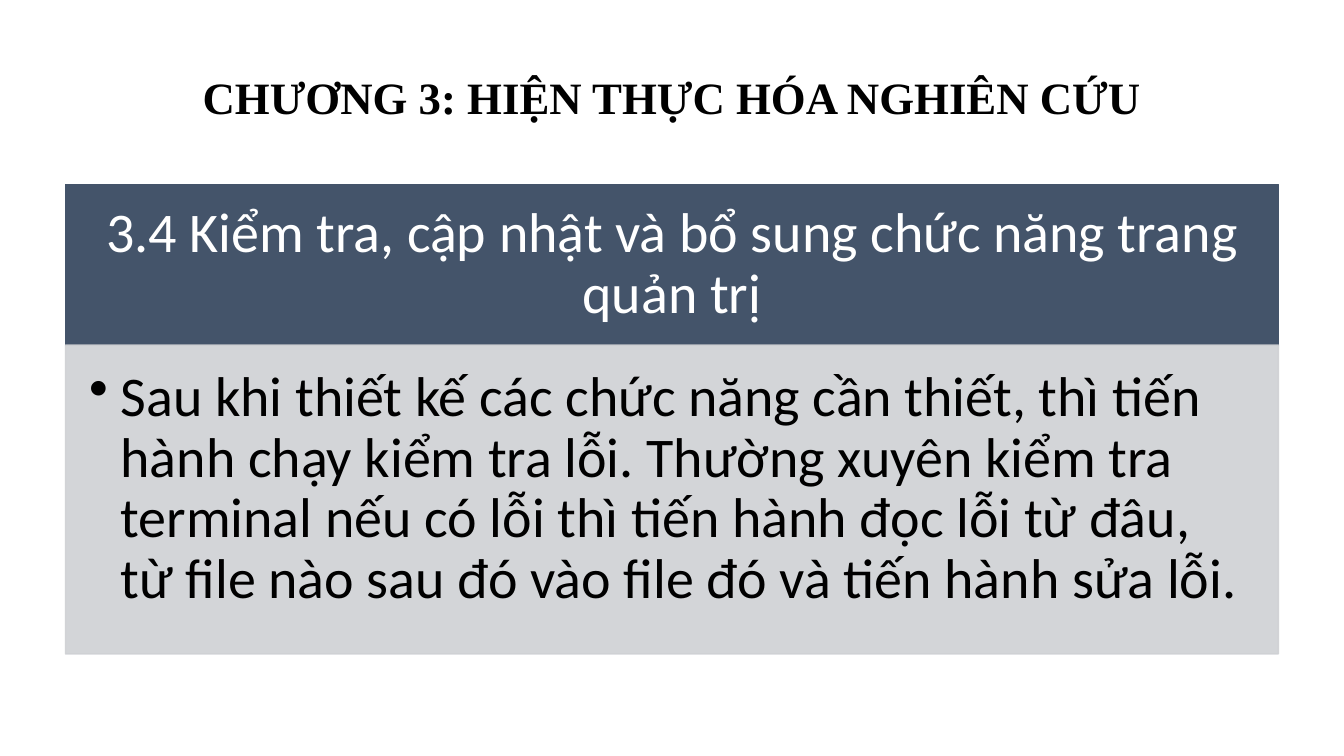
from lxml.etree import SubElement
from pptx import Presentation
from pptx.dml.color import RGBColor
from pptx.enum.shapes import MSO_SHAPE as Preset
from pptx.enum.text import MSO_ANCHOR as Anchor, PP_ALIGN as Align
from pptx.oxml.ns import qn
from pptx.util import Pt

TITLE = "CHƯƠNG 3: HIỆN THỰC HÓA NGHIÊN CỨU"
HEADING = "3.4 Kiểm tra, cập nhật và bổ sung chức năng trang quản trị"
BODY = (
    "Sau khi thiết kế các chức năng cần thiết, thì tiến hành chạy kiểm tra lỗi. "
    "Thường xuyên kiểm tra terminal nếu có lỗi thì tiến hành đọc lỗi từ đâu, "
    "từ file nào sau đó vào file đó và tiến hành sửa lỗi."
)
COLORS = {"heading": "44546A", "body": "CFD1D4", "white": "FFFFFF", "black": "000000"}

SLIDE_WIDTH, SLIDE_HEIGHT = 960, 540
TITLE_WIDTH, TITLE_TOP, TITLE_HEIGHT = 720, 54.72, 37.44
PANEL_WIDTH, PANEL_TOP = 866.4, 131.6
HEADING_HEIGHT, BODY_HEIGHT = 114.9, 220.6
BULLET_INDENT = 22.5


def write(shape, text, size=40, font="Calibri", color="black", bold=False,
          align=Align.CENTER, anchor=Anchor.MIDDLE, insets=(7.2, 3.6, 7.2, 3.6),
          bullet=False):
    """Fill a shape with one formatted paragraph."""
    frame = shape.text_frame
    frame.word_wrap = True
    frame.vertical_anchor = anchor
    (frame.margin_left, frame.margin_top,
     frame.margin_right, frame.margin_bottom) = map(Pt, insets)
    paragraph = frame.paragraphs[0]
    paragraph.alignment = align
    paragraph.line_spacing = 0.9
    run = paragraph.add_run()
    run.text = text
    run.font.size = Pt(size)
    run.font.name = font
    run.font.bold = bold
    run.font.color.rgb = RGBColor.from_string(COLORS[color])
    if bullet:
        properties = paragraph._p.get_or_add_pPr()
        properties.set("marL", str(Pt(BULLET_INDENT)))
        properties.set("indent", str(-Pt(BULLET_INDENT)))
        SubElement(properties, qn("a:buChar"), char="•")


def add_panel(slide, top, height, color, opacity=100):
    """Add a centred rectangle with matching fill and outline."""
    left = (SLIDE_WIDTH - PANEL_WIDTH) / 2
    panel = slide.shapes.add_shape(
        Preset.RECTANGLE, Pt(left), Pt(top), Pt(PANEL_WIDTH), Pt(height))
    panel.shadow.inherit = False
    panel.fill.solid()
    panel.line.width = Pt(1)
    for fill in (panel.fill, panel.line.fill):
        fill.solid()
        fill.fore_color.rgb = RGBColor.from_string(COLORS[color])
    if opacity < 100:
        for tint in panel._element.spPr.iter(qn("a:srgbClr")):
            SubElement(tint, qn("a:alpha"), val=str(opacity * 1000))
    return panel


def main():
    """Build and save the slide."""
    presentation = Presentation()
    presentation.slide_width = Pt(SLIDE_WIDTH)
    presentation.slide_height = Pt(SLIDE_HEIGHT)
    slide = presentation.slides.add_slide(presentation.slide_layouts[6])

    title = slide.shapes.add_textbox(
        Pt((SLIDE_WIDTH - TITLE_WIDTH) / 2), Pt(TITLE_TOP),
        Pt(TITLE_WIDTH), Pt(TITLE_HEIGHT))
    write(title, TITLE, size=32, font="Times New Roman", bold=True,
          anchor=Anchor.BOTTOM)

    heading = add_panel(slide, PANEL_TOP, HEADING_HEIGHT, "heading")
    write(heading, HEADING, color="white", insets=(22.4, 12.8, 22.4, 12.8))

    body = add_panel(slide, PANEL_TOP + HEADING_HEIGHT, BODY_HEIGHT, "body", opacity=90)
    write(body, BODY, align=Align.LEFT, anchor=Anchor.TOP,
          insets=(16.8, 16.8, 22.4, 25.2), bullet=True)

    presentation.save("out.pptx")


if __name__ == "__main__":
    main()
